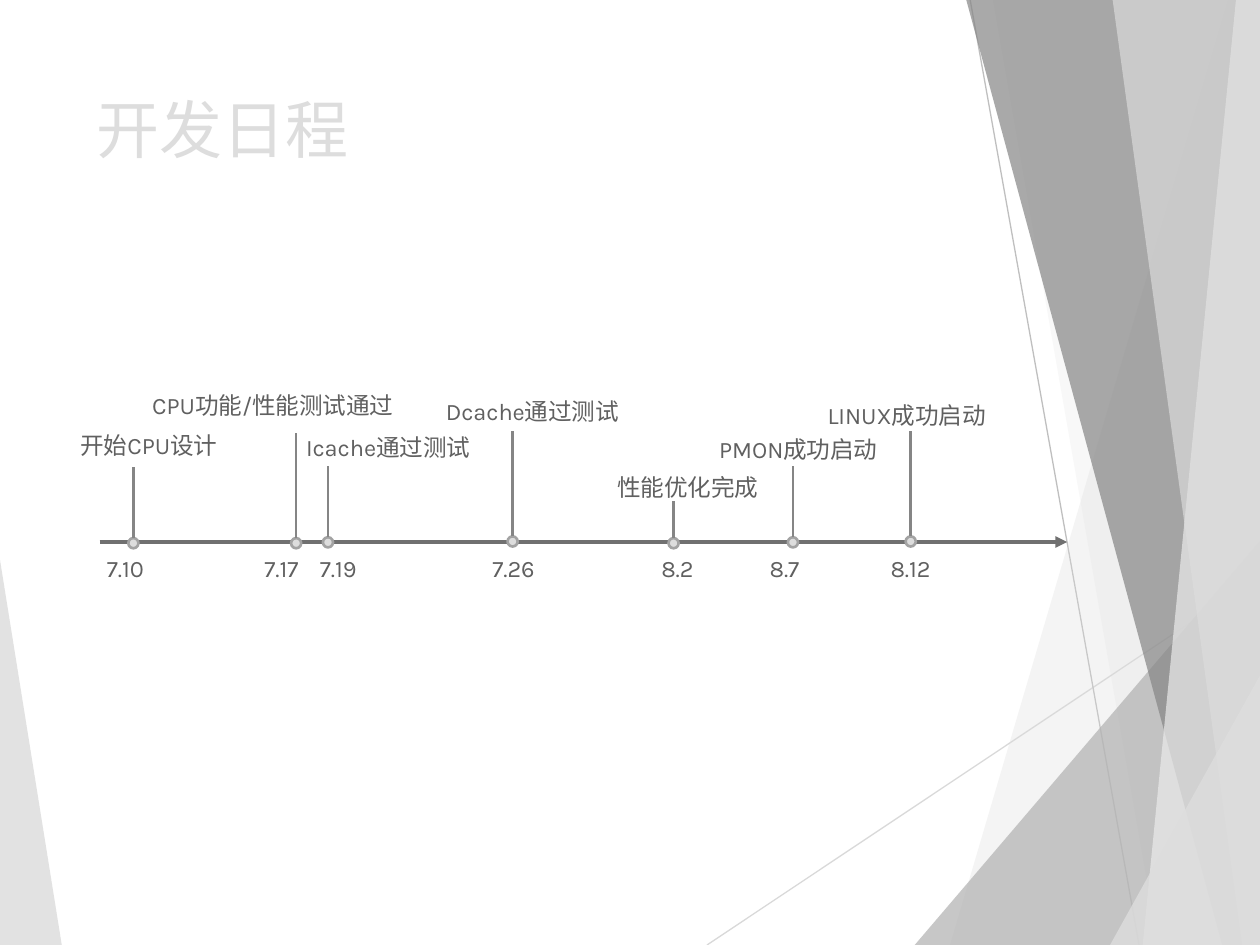
import lxml.etree
import pptx
import pptx.util
import pptx.dml.color
import pptx.enum.shapes
import pptx.oxml.ns

Pt = pptx.util.Pt
WIDE, HIGH = 720, 540

INK = {
    "title": "DDDDDD",
    "text": "606060",
    "axis": "707070",
    "stem": "858585",
    "ring": "A3A3A3",
    "pale": "DDDDDD",
    "mist": "EBEBEB",
    "mid": "B2B2B2",
    "dark": "858585",
    "thin": "D9D9D9",
    "hair": "BFBFBF",
}


def tint(name):
    return pptx.dml.color.RGBColor.from_string(INK[name])


def add(parent, name, **values):
    """Append a drawing element to an XML parent."""
    lxml.etree.SubElement(parent, pptx.oxml.ns.qn(name), values)


class Slide:
    font = "Karla"
    small = 13.5
    large = 36

    def __init__(self, deck):
        self.shapes = deck.slides.add_slide(deck.slide_layouts[6]).shapes

    def facet(self, points, color, alpha):
        """Filled outline without a border; alpha in percent."""
        spots = [(Pt(x), Pt(y)) for x, y in points]
        pen = self.shapes.build_freeform(*spots[0], scale=1.0)
        pen.add_line_segments(spots[1:], close=True)
        shape = pen.convert_to_shape()
        shape.shadow.inherit = False
        shape.fill.solid()
        shape.fill.fore_color.rgb = tint(color)
        shape.line.fill.background()
        tag = shape._element.spPr.find(
            pptx.oxml.ns.qn("a:solidFill") + "/" + pptx.oxml.ns.qn("a:srgbClr"))
        add(tag, "a:alpha", val=str(alpha * 1000))

    def line(self, start, end, color, weight, arrow=False):
        line = self.shapes.add_connector(
            pptx.enum.shapes.MSO_CONNECTOR.STRAIGHT,
            *(Pt(v) for v in (*start, *end)))
        line.line.color.rgb = tint(color)
        line.line.width = Pt(weight)
        frame = line._element.spPr
        if arrow:
            add(frame.find(pptx.oxml.ns.qn("a:ln")), "a:tailEnd", type="triangle")
        add(frame, "a:effectLst")
        return line

    def dot(self, x, top, size):
        dot = self.shapes.add_shape(
            pptx.enum.shapes.MSO_SHAPE.OVAL,
            Pt(x - size / 2), Pt(top), Pt(size), Pt(size))
        dot.shadow.inherit = False
        dot.fill.solid()
        dot.fill.fore_color.rgb = tint("pale")
        dot.line.color.rgb = tint("ring")
        dot.line.width = Pt(1.5)
        return dot

    def text(self, words, left, top, width, height=24, size=small, color="text"):
        box = self.shapes.add_textbox(Pt(left), Pt(top), Pt(width), Pt(height))
        box.text_frame.word_wrap = True
        run = box.text_frame.paragraphs[0].add_run()
        run.text = words
        run.font.name = self.font
        run.font.size = Pt(size)
        run.font.color.rgb = tint(color)

    def event(self, date, x, top, stem, left, words, place):
        """One dated point: dot, stem, date below and label above."""
        dot = self.dot(x, top, 5.8)
        self.line((x, top), (x, stem), "stem", 1.5).begin_connect(dot, 0)
        self.text(date, left, 313.2, 44.6)
        self.text(words, *place)


def main():
    deck = pptx.Presentation()
    deck.slide_width, deck.slide_height = Pt(WIDE), Pt(HIGH)
    slide = Slide(deck)

    # Backdrop: left wedge and two thin lines
    slide.facet([(0, 320), (35.3, HIGH), (0, HIGH)], "pale", 85)
    slide.line((404, HIGH), (WIDE, 329.2), "thin", 0.75)
    slide.line((554.4, 0), (650.9, HIGH), "hair", 0.75)

    # Backdrop: facets as (top left x, top y, bottom left x, colour, alpha),
    # each running on to the right edge
    facets = [
        (702, 0, 542.9, "pale", 30),
        (567.4, 0, 661.7, "pale", 20),
        (WIDE, 308.9, 522.7, "mid", 72),
        (552.2, 0, 698.4, "dark", 70),
        (706.3, 0, 653, "mist", 70),
        (635.8, 0, 709.9, "pale", 65),
        (WIDE, 385.8, 634.3, "pale", 80),
    ]
    for x, y, base, color, alpha in facets:
        slide.facet([(x, y), (base, HIGH), (WIDE, HIGH), (WIDE, y)], color, alpha)

    # Title
    slide.text("开发日程", 48, 48, 457, 104, Slide.large, "title")

    # Time axis
    slide.line((56.9, 309.7), (609.8, 309.7), "axis", 2.25, arrow=True)

    # Events: date, x, dot top, stem top, date left, label, label place
    events = [
        ("7.10", 76.2, 307.5, 267, 54, "开始CPU设计", (38.9, 242.6, 101.5)),
        ("7.17", 169.2, 307.5, 247.5, 144, "CPU功能/性能测试通过", (79.9, 219.6, 172)),
        ("7.19", 187.4, 307, 266.5, 175.7, "Icache通过测试", (167.8, 244.1, 151)),
        ("7.26", 292.9, 306.5, 246.5, 274.3, "Dcache通过测试", (247.7, 223.2, 151)),
        ("8.2", 384.9, 307.5, 286.5, 370.8, "性能优化完成", (345.6, 266.4, 122.4)),
        ("8.7", 453.1, 307, 266.5, 432.7, "PMON成功启动", (403.9, 244.8, 151)),
        ("8.12", 520.4, 306.5, 246.5, 501.8, "LINUX成功启动", (465.8, 225.4, 151)),
    ]
    for event in events:
        slide.event(*event)

    deck.save("out.pptx")


if __name__ == "__main__":
    main()
